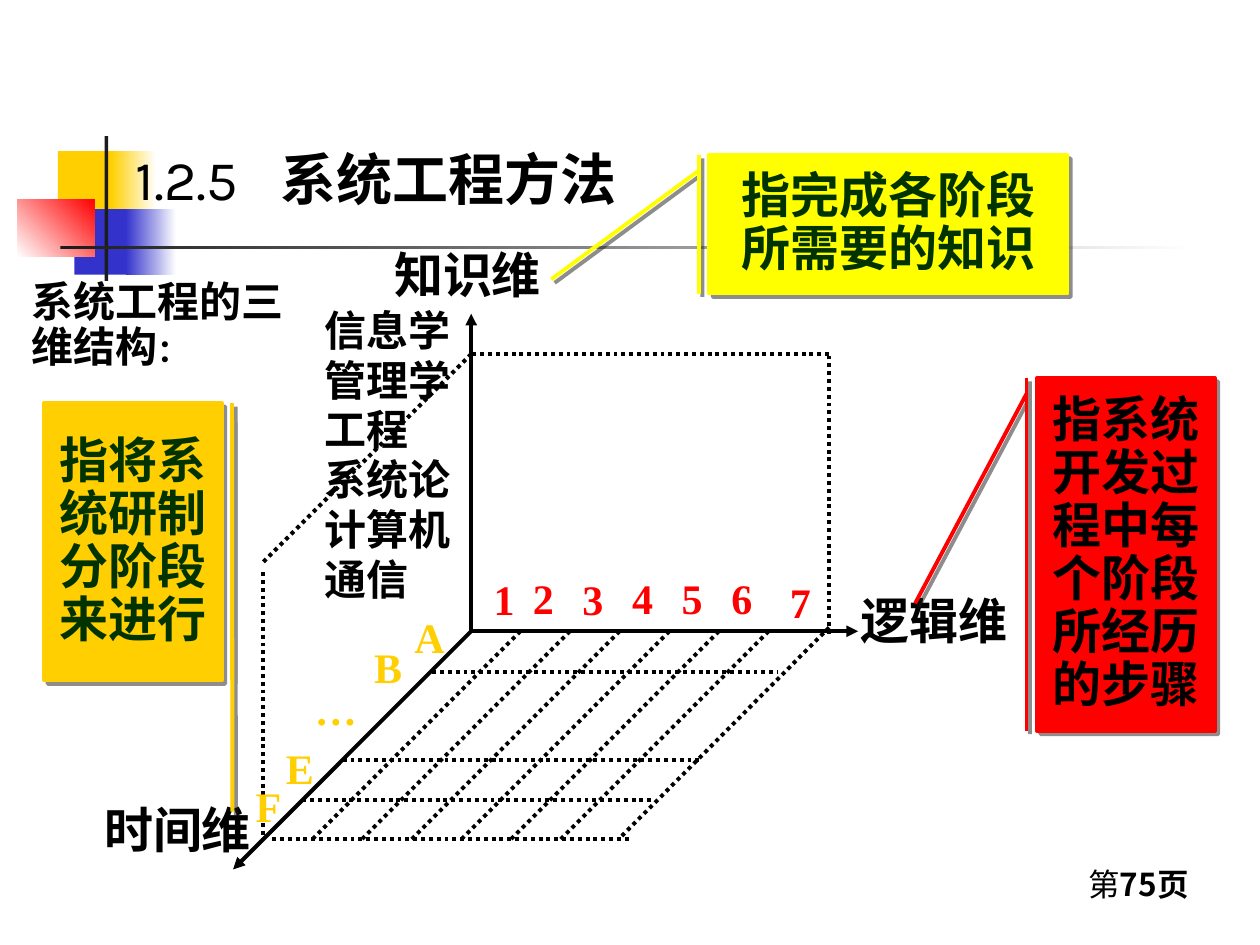
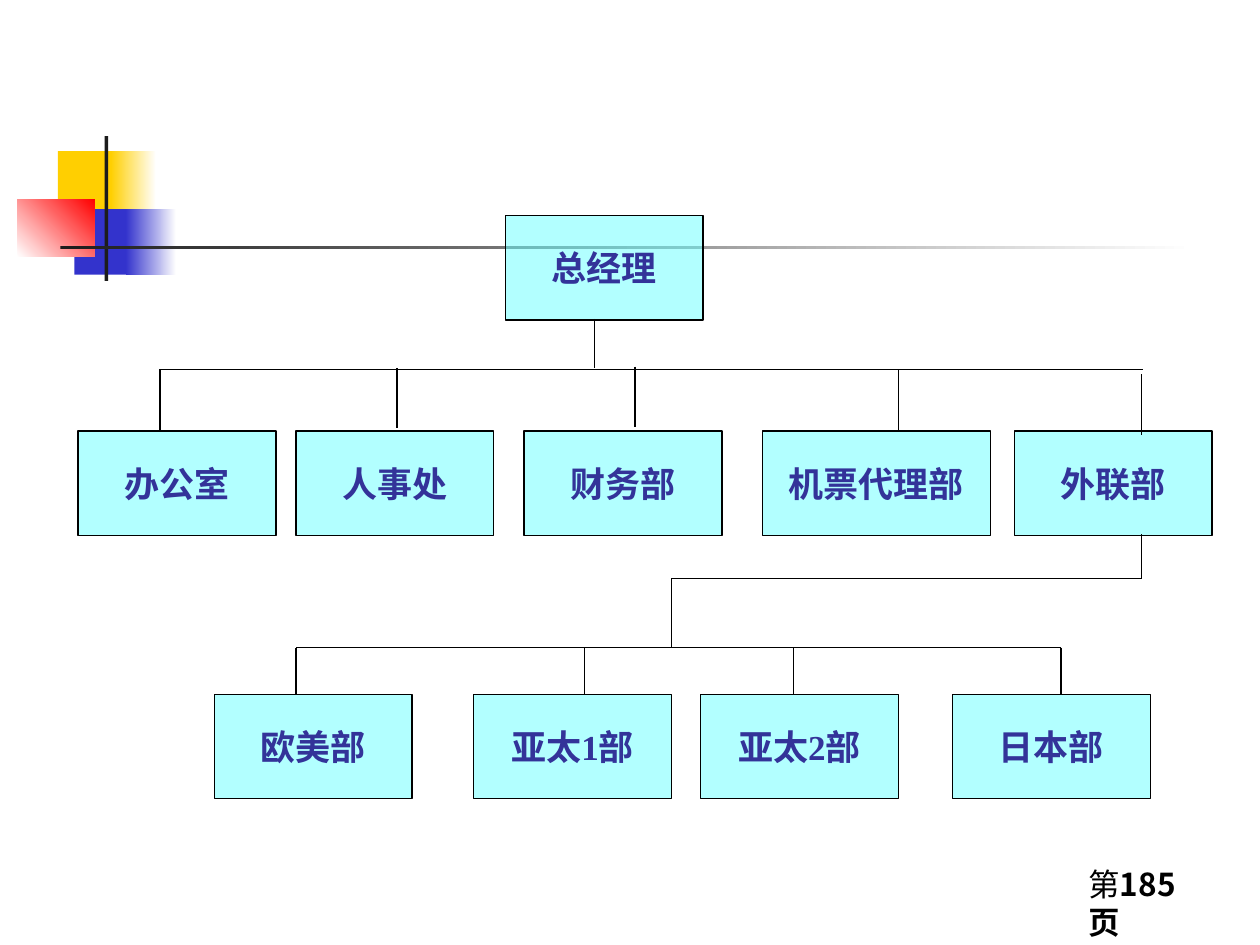
import pptx
import pptx.util
import pptx.dml.color
import pptx.enum.dml
import pptx.enum.shapes
import pptx.enum.text
import pptx.oxml.ns
import lxml.etree

Inches = pptx.util.Inches
Pt = pptx.util.Pt
RGB = pptx.dml.color.RGBColor.from_string
qn = pptx.oxml.ns.qn
sub = lxml.etree.SubElement
Kind = pptx.enum.shapes.MSO_SHAPE
Align = pptx.enum.text.PP_ALIGN
Anchor = pptx.enum.text.MSO_ANCHOR

hues = {
    "ink": "000000",
    "coal": "1C1C1C",
    "white": "FFFFFF",
    "gold": "FFCF01",
    "blue": "3333CC",
    "red": "FF0000",
    "yellow": "FFFF00",
    "green": "003300",
    "aqua": "66FFFF",
    "navy": "333399",
}
serif = "Times New Roman"
sans = "Noto Sans CJK SC"


def write(shape, text, size=24, bold=True, hue="ink", face=serif,
          align=Align.LEFT, space=0.9, mid=False, wrap=True):
    frame = shape.text_frame
    frame.word_wrap = wrap
    frame.vertical_anchor = Anchor.MIDDLE if mid else Anchor.TOP
    para = frame.paragraphs[0]
    para.alignment = align
    para.line_spacing = space
    run = para.add_run()
    run.text = text
    run.font.size = Pt(size)
    run.font.bold = bold
    run.font.name = face
    run.font.color.rgb = RGB(hues[hue])
    sub(run.font.color and run.font.fill and run._r.get_or_add_rPr(),
        qn("a:ea"), typeface=sans)


def link(slide, x1, y1, x2, y2, width=0.75, dots=False, arrow=False):
    con = slide.shapes.add_connector(
        pptx.enum.shapes.MSO_CONNECTOR.STRAIGHT,
        Inches(x1), Inches(y1), Inches(x2), Inches(y2))
    con.line.color.rgb = RGB(hues["ink"])
    con.line.width = Pt(width)
    if dots:
        con.line.dash_style = pptx.enum.dml.MSO_LINE.ROUND_DOT
    props = con.element.spPr
    if arrow:
        sub(props.find(qn("a:ln")), qn("a:tailEnd"), type="triangle")
    sub(props, qn("a:effectLst"))


deck = pptx.Presentation()
deck.slide_width = Inches(10)
deck.slide_height = Inches(7.5)

bands = [
    (0.46, 1.2, 0.48, 0.52, "gold", None, 0),
    (0.88, 1.2, 0.36, 0.52, "gold", "white", 0),
    (0.59, 1.66, 0.46, 0.52, "blue", None, 0),
    (1, 1.66, 0.4, 0.52, "blue", "white", 0),
    (0.14, 1.58, 0.61, 0.46, "white", "red", 45),
    (0.83, 1.08, 0.03, 1.15, "coal", None, 0),
    (0.48, 1.95, 9, 0.03, "coal", "white", 0),
]
slides = []
for page in ("75", "185"):
    slide = deck.slides.add_slide(deck.slide_layouts[6])
    slides.append(slide)
    for *box, hue, fade, angle in bands:
        band = slide.shapes.add_shape(Kind.RECTANGLE, *map(Inches, box))
        band.shadow.inherit = False
        band.line.fill.background()
        if fade:
            band.fill.gradient()
            band.fill.gradient_angle = angle
            for stop, tone, place in zip(band.fill.gradient_stops, (hue, fade), (0, 1)):
                stop.color.rgb = RGB(hues[tone])
                stop.position = place
        else:
            band.fill.solid()
            band.fill.fore_color.rgb = RGB(hues[hue])
    foot = slide.shapes.add_textbox(Inches(8.54), Inches(6.82), Inches(1.08), Inches(0.4))
    write(foot, "第", size=18, bold=False, face=sans, space=1)
    write(foot, page + "页", size=18, face=sans, space=1)

cube, chart = slides

for end in ((6.81, 5.01), (3.74, 2.49), (1.85, 6.9)):
    link(cube, 3.74, 5.01, *end, width=2.25, arrow=True)

grid = [(4.13 + 0.394 * i, 5.01, 2.48 + 0.394 * i, 6.66) for i in range(6)]
grid += [
    (6.58, 4.98, 4.93, 6.64),
    (2.16, 6.66, 5, 6.66),
    (3.43, 5.33, 6.17, 5.33),
    (2.4, 6.35, 5.17, 6.35),
    (2.72, 6.03, 5.58, 6.03),
    (6.58, 5.03, 6.58, 2.82),
    (6.58, 2.81, 3.74, 2.81),
    (3.74, 2.81, 2.09, 4.46),
    (2.09, 4.54, 2.09, 6.66),
]
for ends in grid:
    link(cube, *ends, width=2.25, dots=True)

labels = [
    ("逻辑维", 6.73, 4.69, 1.5, 28, "ink"),
    ("知识维", 3.03, 1.94, 1.5, 28, "ink"),
    ("时间维", 0.59, 6.35, 1.5, 28, "ink"),
    ("A", 3.19, 4.85, 0.55, 24, "gold"),
    ("B", 2.87, 5.09, 0.55, 24, "gold"),
    ("…", 2.4, 5.42, 0.55, 24, "gold"),
    ("E", 2.17, 5.89, 0.55, 24, "gold"),
    ("F", 1.93, 6.19, 0.55, 24, "gold"),
    ("1", 3.82, 4.55, 0.39, 24, "red"),
    ("7", 6.17, 4.57, 0.39, 24, "red"),
]
for i, field in enumerate(("信息学", "管理学", "工程", "系统论", "计算机", "通信")):
    labels.append((field, 2.48, 2.41 + 0.396 * i, 1.34, 24, "ink"))
for i, step in enumerate("23456"):
    top = 4.55 if step == "3" else 4.54
    labels.append((step, 4.13 + 0.394 * i, top, 0.39, 24, "red"))
for text, left, top, wide, size, hue in labels:
    tall = 0.52 if size == 28 else 0.46
    label = cube.shapes.add_textbox(Inches(left), Inches(top), Inches(wide), Inches(tall))
    side = Align.RIGHT if text == "时间维" else Align.LEFT
    write(label, text, size=size, hue=hue, align=side)

notes = [
    ("指系统开发过程中每个阶段所经历的步骤", (8.23, 3, 1.41, 2.8),
     (0.045, -0.059, 0.639, -0.686), "red", "ink"),
    ("指将系统研制分阶段来进行", (0.35, 3.2, 1.41, 2.2),
     (0.057, 1.059, 1.474, 1.06), "gold", "green"),
    ("指完成各阶段所需要的知识", (5.63, 1.23, 2.84, 1.1),
     (0.113, -0.029, 0.898, -0.442), "yellow", "green"),
]
for text, box, bends, fill, hue in notes:
    note = cube.shapes.add_shape(
        Kind.LINE_CALLOUT_1_BORDER_AND_ACCENT_BAR, *map(Inches, box))
    for i, bend in enumerate(bends):
        note.adjustments[i] = bend
    note.fill.solid()
    note.fill.fore_color.rgb = RGB(hues[fill])
    note.line.color.rgb = RGB(hues[fill])
    note.line.width = Pt(2.25)
    note.shadow.inherit = False
    cast = sub(note.element.spPr.find(qn("a:effectLst")), qn("a:outerShdw"),
               dist=str(Pt(2.8)), dir="2700000", algn="ctr", rotWithShape="0")
    tone = sub(cast, qn("a:srgbClr"), val=hues["coal"])
    sub(tone, qn("a:alpha"), val="50000")
    write(note, text, size=28, hue=hue, align=Align.CENTER, mid=True)

title = cube.shapes.add_shape(
    Kind.ACTION_BUTTON_CUSTOM, Inches(0.98), Inches(0.91), Inches(4.41), Inches(1))
title.shadow.inherit = False
title.fill.background()
title.line.fill.background()
write(title, "1.2.5\t", size=32, bold=False, face="Karla", space=1, mid=True)
write(title, "系统工程方法", size=32, face="Karla", space=1, mid=True)
tabs = sub(title.text_frame.paragraphs[0]._p.get_or_add_pPr(), qn("a:tabLst"))
sub(tabs, qn("a:tab"), pos=str(Inches(1.15)), algn="l")

lead = cube.shapes.add_textbox(Inches(-0.35), Inches(2.18), Inches(3.03), Inches(1.27))
lead.text_frame.margin_left = Inches(0.6)
write(lead, "系统工程的三维结构", face="Karla")
write(lead, "：", size=18, face="Karla")

units = [
    ("总经理", 4.01, 1.71),
    ("办公室", 0.62, 3.42),
    ("人事处", 2.35, 3.42),
    ("财务部", 4.16, 3.42),
    ("机票代理部", 6.05, 3.42),
    ("外联部", 8.05, 3.42),
    ("欧美部", 1.7, 5.51),
    ("亚太1部", 3.76, 5.51),
    ("亚太2部", 5.56, 5.51),
    ("日本部", 7.56, 5.51),
]
for name, left, top in units:
    wide = 1.81 if len(name) > 4 else 1.57
    unit = chart.shapes.add_shape(
        Kind.RECTANGLE, Inches(left), Inches(top), Inches(wide), Inches(0.83))
    unit.shadow.inherit = False
    unit.fill.solid()
    unit.fill.fore_color.rgb = RGB(hues["aqua"])
    tint = unit.element.spPr.find(qn("a:solidFill"))[0]
    sub(tint, qn("a:alpha"), val="50000")
    unit.line.color.rgb = RGB(hues["ink"])
    unit.line.width = Pt(0.75)
    write(unit, name, size=20, hue="navy", align=Align.CENTER,
          space=1, mid=True, wrap=False)

for x, y in ((1.27, 2.93), (3.15, 2.92), (5.04, 2.91), (7.13, 2.94), (9.06, 2.97)):
    link(chart, x, y, x, y + 0.48)
for x in (2.35, 4.64, 6.3, 8.42):
    link(chart, x, 5.14, x, 5.51)
for ends in (
    (4.72, 2.53, 4.72, 2.92),
    (1.27, 2.93, 9.07, 2.93),
    (9.06, 4.24, 9.06, 4.59),
    (5.33, 4.59, 9.06, 4.59),
    (5.33, 4.59, 5.33, 5.14),
    (2.35, 5.14, 8.42, 5.14),
):
    link(chart, *ends)

deck.save("out.pptx")
